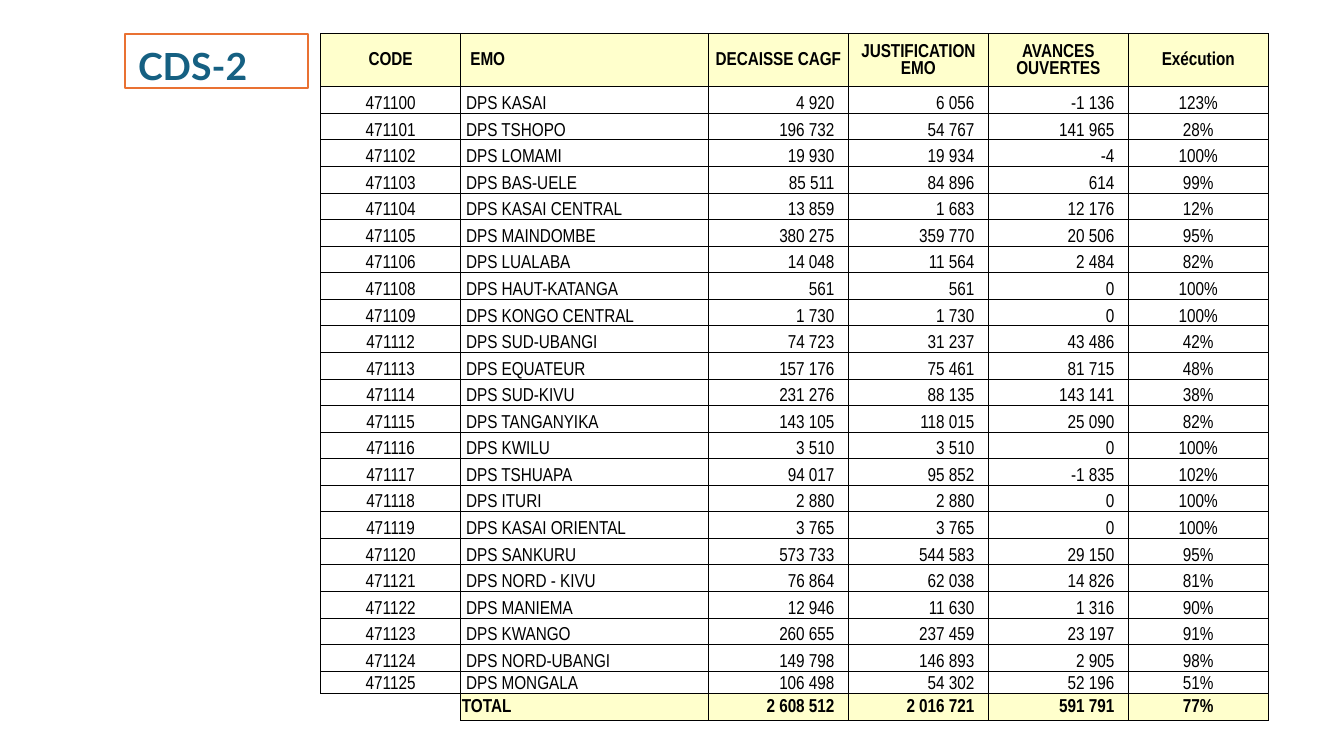
from lxml.etree import SubElement
from pptx import Presentation
from pptx.dml.color import RGBColor
from pptx.enum.text import MSO_ANCHOR as Anchor, MSO_AUTO_SIZE as AutoSize, PP_ALIGN as Align
from pptx.oxml.ns import qn
from pptx.util import Pt

EMU_PER_PX = 9525
BLACK, CREAM, WHITE = "000000", "FFFFCC", "FFFFFF"
ALIGNS = [Align.CENTER, Align.LEFT] + [Align.RIGHT] * 3 + [Align.CENTER]
COLUMN_WIDTHS = [100, 177, 100, 100, 100, 100]
HEADER_HEIGHT, ROW_HEIGHT, LAST_ROW_HEIGHT = 38, 19, 16
EDGE, NUMBER_INDENT, NAME_INDENT, HEADING_INDENT = 1, 10, 4, 7

HEADINGS = ["CODE", "EMO", "DECAISSE CAGF", "JUSTIFICATION EMO", "AVANCES OUVERTES", "Exécution"]
# code, name, paid out, justified, open advances
RECORDS = [
    ("471100", "DPS KASAI", 4920, 6056, -1136),
    ("471101", "DPS TSHOPO", 196732, 54767, 141965),
    ("471102", "DPS LOMAMI", 19930, 19934, -4),
    ("471103", "DPS BAS-UELE", 85511, 84896, 614),
    ("471104", "DPS KASAI CENTRAL", 13859, 1683, 12176),
    ("471105", "DPS MAINDOMBE", 380275, 359770, 20506),
    ("471106", "DPS LUALABA", 14048, 11564, 2484),
    ("471108", "DPS HAUT-KATANGA", 561, 561, 0),
    ("471109", "DPS KONGO CENTRAL", 1730, 1730, 0),
    ("471112", "DPS SUD-UBANGI", 74723, 31237, 43486),
    ("471113", "DPS EQUATEUR", 157176, 75461, 81715),
    ("471114", "DPS SUD-KIVU", 231276, 88135, 143141),
    ("471115", "DPS TANGANYIKA", 143105, 118015, 25090),
    ("471116", "DPS KWILU", 3510, 3510, 0),
    ("471117", "DPS TSHUAPA", 94017, 95852, -1835),
    ("471118", "DPS ITURI", 2880, 2880, 0),
    ("471119", "DPS KASAI ORIENTAL", 3765, 3765, 0),
    ("471120", "DPS SANKURU", 573733, 544583, 29150),
    ("471121", "DPS NORD - KIVU", 76864, 62038, 14826),
    ("471122", "DPS MANIEMA", 12946, 11630, 1316),
    ("471123", "DPS KWANGO", 260655, 237459, 23197),
    ("471124", "DPS NORD-UBANGI", 149798, 146893, 2905),
    ("471125", "DPS MONGALA", 106498, 54302, 52196),
]
TOTAL = ("", "TOTAL", 2608512, 2016721, 591791)


def px(length):
    return length * EMU_PER_PX


def color(value):
    return RGBColor.from_string(value)


def add_span(para, text, font, size, ink, bold):
    span = para.add_run()
    span.text = text
    span.font.name = font
    span.font.size = Pt(size)
    span.font.bold = bold
    span.font.color.rgb = color(ink)


def add_title(slide, text):
    title = slide.shapes.title
    title.left, title.top, title.width, title.height = map(px, (89, 24, 131, 39))
    title.fill.solid()
    title.fill.fore_color.rgb = color(WHITE)
    title.line.color.rgb = color("E97132")
    title.line.width = Pt(1)
    frame = title.text_frame
    frame.auto_size = AutoSize.NONE
    frame.word_wrap = True
    frame.vertical_anchor = Anchor.TOP
    para = frame.paragraphs[0]
    para.alignment = Align.LEFT
    para.line_spacing = 1.07
    para.space_after = Pt(8)
    add_span(para, text, "Lato", 20, "156082", True)


def set_borders(cell, visible_sides):
    """Draw thin black lines on the given sides (of "LRTB") and none on the others."""
    properties = cell._tc.get_or_add_tcPr()
    for side in "LRTB":
        line = SubElement(properties, qn(f"a:ln{side}"), w=str(Pt(0.5)))
        if side in visible_sides:
            fill = SubElement(line, qn("a:solidFill"))
            SubElement(fill, qn("a:srgbClr"), val=BLACK)
        else:
            SubElement(line, qn("a:noFill"))


def fill_cell(cell, text, align, anchor, bold=False, fill=None, left=EDGE, right=EDGE):
    set_borders(cell, "LRTB" if text else "RT")
    if text and fill:
        cell.fill.solid()
        cell.fill.fore_color.rgb = color(fill)
    else:
        cell.fill.background()
    cell.margin_left, cell.margin_right = px(left), px(right)
    cell.margin_top, cell.margin_bottom = px(EDGE), 0
    cell.vertical_anchor = anchor
    para = cell.text_frame.paragraphs[0]
    para.alignment = align
    if text:
        add_span(para, text, "Arial Narrow", 10, BLACK, bold)
    else:
        para._p.get_or_add_endParaRPr().set("sz", "1000")


def fill_header(table):
    for column, heading in enumerate(HEADINGS):
        is_name = column == 1
        fill_cell(table.cell(0, column), heading, Align.LEFT if is_name else Align.CENTER,
                  Anchor.MIDDLE, True, CREAM, left=HEADING_INDENT if is_name else EDGE)


def fill_record(table, row, record, is_total=False):
    code, name, paid, justified, advances = record
    amounts = [f"{amount:,}".replace(",", " ") for amount in (paid, justified, advances)]
    texts = [code, name, *amounts, f"{justified / paid:.0%}"]
    for column, (text, align) in enumerate(zip(texts, ALIGNS)):
        fill_cell(table.cell(row, column), text, align,
                  Anchor.MIDDLE if is_total else Anchor.BOTTOM,
                  is_total, CREAM if is_total else None,
                  left=NAME_INDENT if column == 1 and not is_total else EDGE,
                  right=NUMBER_INDENT if align == Align.RIGHT else EDGE)


def add_advances_table(slide):
    heights = [HEADER_HEIGHT] + [ROW_HEIGHT] * (len(RECORDS) - 1) + [LAST_ROW_HEIGHT, ROW_HEIGHT]
    table = slide.shapes.add_table(len(heights), len(COLUMN_WIDTHS), px(229), px(24),
                                   px(sum(COLUMN_WIDTHS)), px(sum(heights))).table
    table.first_row = table.horz_banding = False
    for column, width in zip(table.columns, COLUMN_WIDTHS):
        column.width = px(width)
    for row, height in zip(table.rows, heights):
        row.height = px(height)
    fill_header(table)
    for row, record in enumerate(RECORDS, 1):
        fill_record(table, row, record)
    fill_record(table, len(heights) - 1, TOTAL, is_total=True)


def main():
    deck = Presentation()
    deck.slide_width, deck.slide_height = px(960), px(540)
    slide = deck.slides.add_slide(deck.slide_layouts[5])
    add_title(slide, "CDS-2")
    add_advances_table(slide)
    deck.save("out.pptx")


if __name__ == "__main__":
    main()
